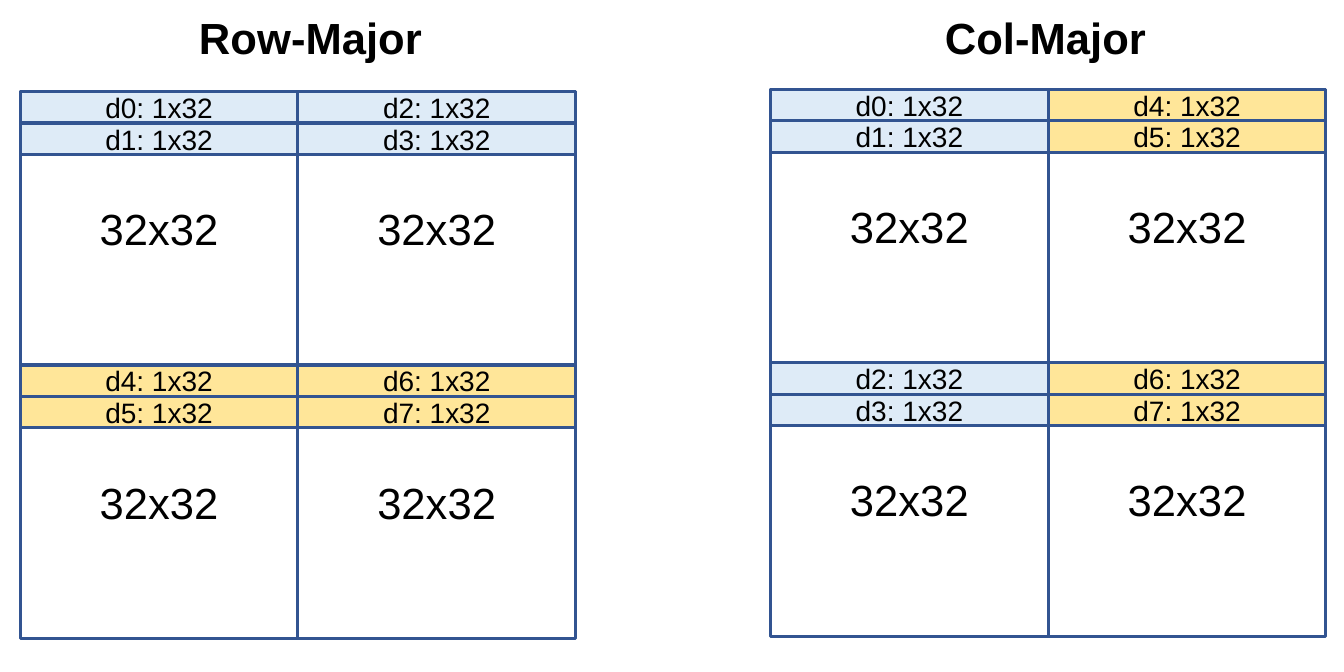
"""Build a slide comparing row-major and column-major tile orders."""
from pptx import Presentation
from pptx.dml.color import RGBColor
from pptx.enum.shapes import MSO_SHAPE as Shape
from pptx.enum.text import MSO_ANCHOR as Anchor, PP_ALIGN as Align
from pptx.util import Inches, Pt

MATRICES = [
    {"title": "Row-Major", "title_left": 0.79, "title_width": 1.2,
     "left": 0.09, "top": 0.41, "tiles": [(0, 0), (0, 1), (1, 0), (1, 1)]},
    {"title": "Col-Major", "title_left": 4.12, "title_width": 1.1,
     "left": 3.44, "top": 0.4, "tiles": [(0, 0), (1, 0), (0, 1), (1, 1)]},
]
TILE_LABEL = "32x32"
STRIP_LABEL = "d{}: 1x32"
TILE_WIDTH, TILE_HEIGHT, STRIP_HEIGHT = 1.24, 1.22, 0.14
STRIPS_PER_TILE = 2
WHITE, BLACK, BORDER = "FFFFFF", "000000", "325491"
HALF_FILLS = ["DEEBF7", "FFE699"]


def color(value):
    return RGBColor.from_string(value)


def write(box, text, size, bold=False, align=Align.LEFT):
    para = box.text_frame.paragraphs[0]
    para.text = text
    para.alignment = align
    para.font.name = "Arial"
    para.font.size = Pt(size)
    para.font.bold = bold
    para.font.color.rgb = color(BLACK)


def add_cell(page, left, top, height, fill, text, size):
    cell = page.shapes.add_shape(
        Shape.RECTANGLE, Inches(left), Inches(top), Inches(TILE_WIDTH), Inches(height))
    cell.shadow.inherit = False
    cell.fill.solid()
    cell.fill.fore_color.rgb = color(fill)
    cell.line.color.rgb = color(BORDER)
    cell.line.width = Pt(1)
    frame = cell.text_frame
    frame.vertical_anchor = Anchor.MIDDLE
    frame.margin_top = frame.margin_bottom = 0
    write(cell, text, size, align=Align.CENTER)


def add_matrix(page, matrix):
    heading = page.shapes.add_textbox(
        Inches(matrix["title_left"]), 0, Inches(matrix["title_width"]), Inches(0.34))
    heading.text_frame.word_wrap = False
    write(heading, matrix["title"], 14, bold=True)

    corners = [(matrix["left"] + column * TILE_WIDTH, matrix["top"] + row * TILE_HEIGHT)
               for row, column in matrix["tiles"]]
    for left, top in corners:
        add_cell(page, left, top, TILE_HEIGHT, WHITE, TILE_LABEL, 14)
    for order, (left, top) in enumerate(corners):
        fill = HALF_FILLS[order // 2]
        for step in range(STRIPS_PER_TILE):
            label = STRIP_LABEL.format(order * STRIPS_PER_TILE + step)
            add_cell(page, left, top + step * STRIP_HEIGHT, STRIP_HEIGHT, fill, label, 9)


def main():
    deck = Presentation()
    deck.slide_width, deck.slide_height = Inches(6), Inches(3)
    page = deck.slides.add_slide(deck.slide_layouts[6])
    for matrix in MATRICES:
        add_matrix(page, matrix)
    deck.save("out.pptx")


if __name__ == "__main__":
    main()
